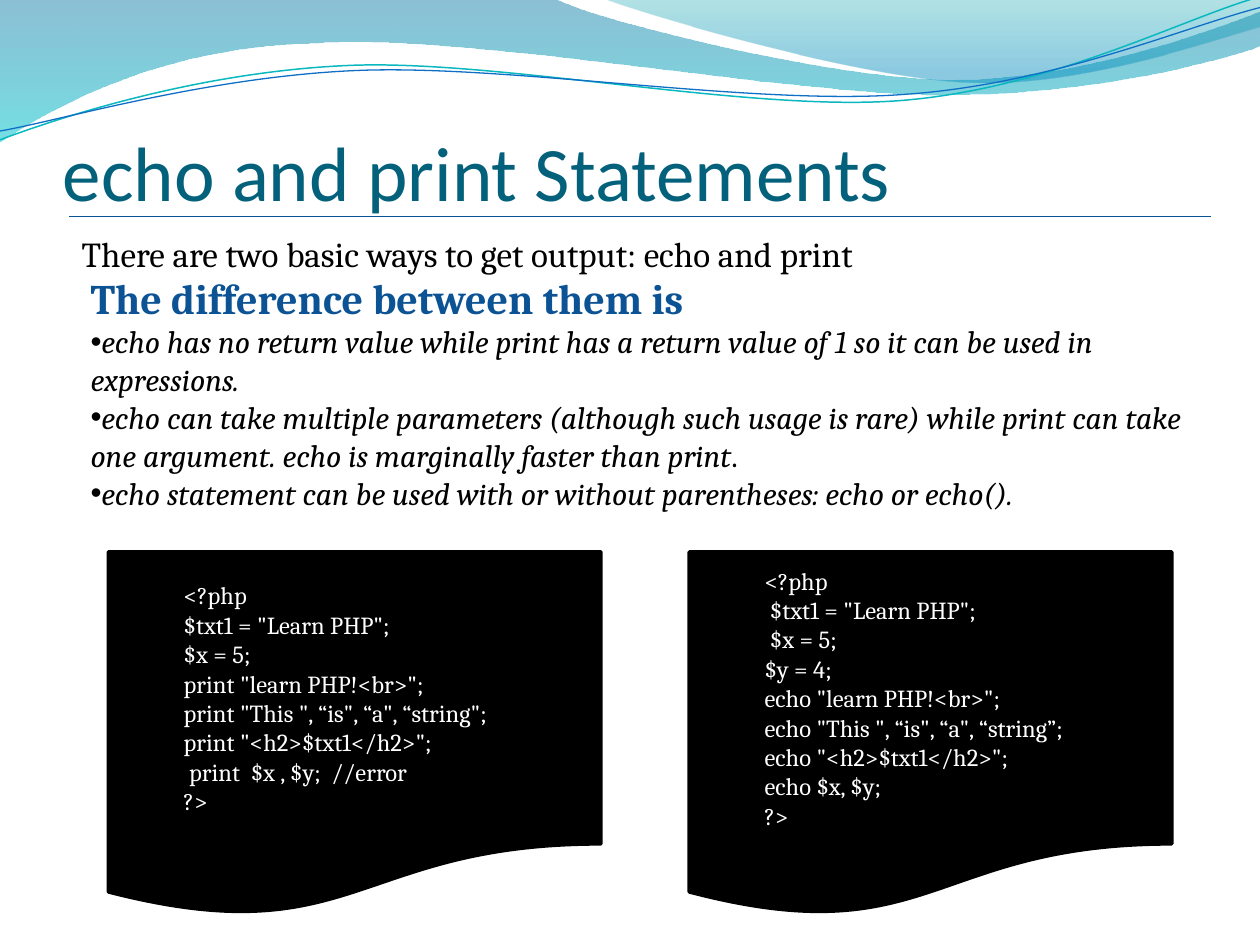
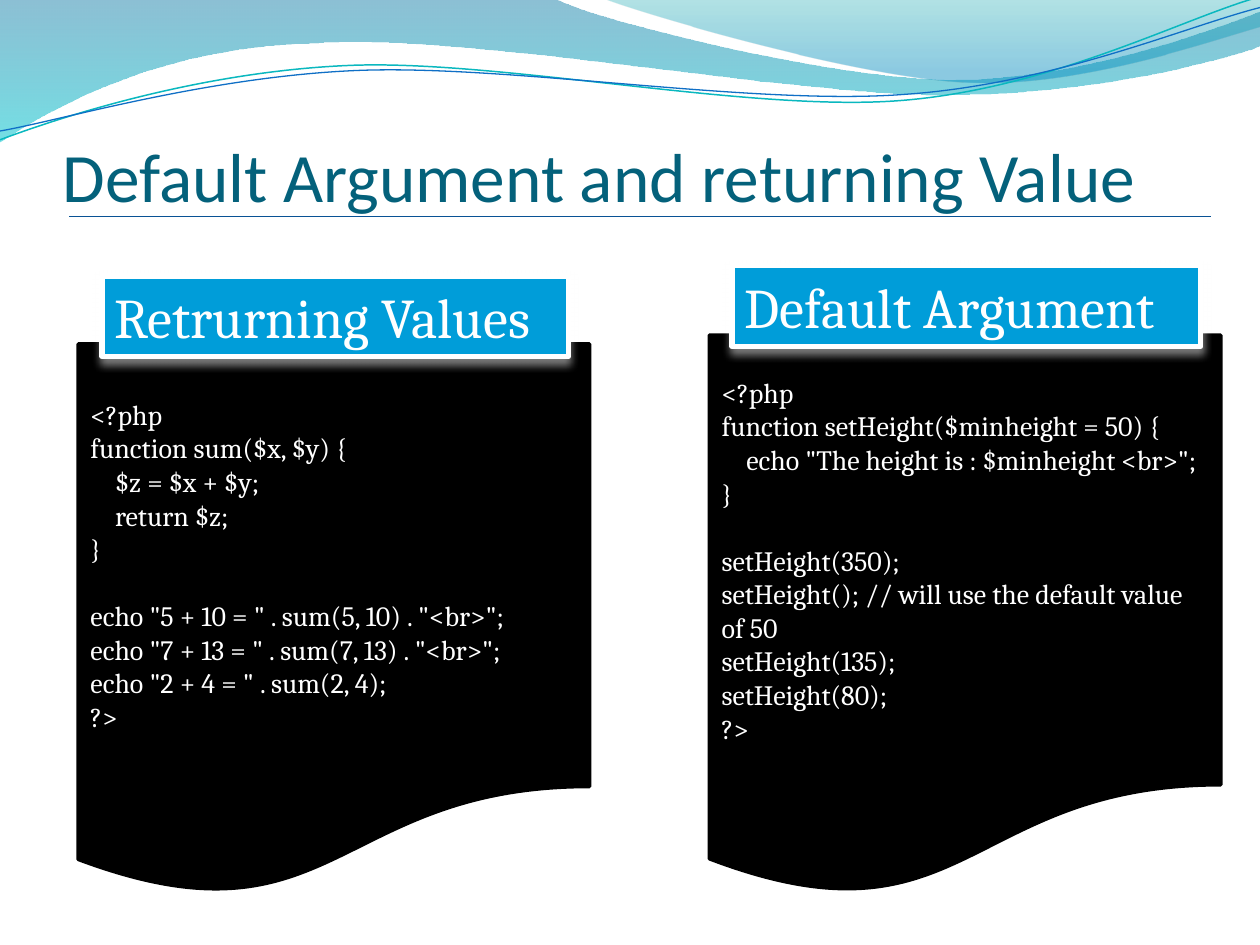
from dataclasses import dataclass

from lxml import etree
from pptx import Presentation
from pptx import util as u
from pptx.dml.color import RGBColor
from pptx.enum import shapes, text
from pptx.oxml import ns


@dataclass(frozen=True)
class Theme:
    """Colours, fonts and type sizes shared by the slides."""
    title: str = "04617B"
    rule: str = "095295"
    lead: str = "0B5394"
    ink: str = "000000"
    paper: str = "FFFFFF"
    label: str = "009DD9"
    teal: str = "0AB8BF"
    blue: str = "0F6FC6"
    heading_font: str = "Calibri"
    body_font: str = "Cambria"
    title_pt: float = 44
    long_title_pt: float = 39.6
    label_pt: float = 32
    lead_pt: float = 24
    intro_pt: float = 20
    point_pt: float = 18
    code_pt: float = 16
    small_code_pt: float = 14


T = Theme()

BANDS = [
    ((0, 0), [[(4.4, -0.01)],
              [(4.76, 0.17), (6.64, 0.63), (7.58, 0.63)],
              [(8.53, 0.63), (9.58, 0.26), (10, 0.09)],
              [(10.01, 0.36)],
              [(9.83, 0.44), (8.7, 0.76), (7.46, 0.75)],
              [(6.22, 0.75), (3.82, 0.28), (2.57, 0.34)],
              [(1.29, 0.36), (0.46, 0.83), (-0.01, 1.13)]],
     [(0, "0074A1", 45), (1, "00C6CF", 55)]),
    ((4.79, -0.01), [[(5.09, 0.11), (6.82, 0.62), (7.69, 0.65)],
                     [(8.56, 0.69), (9.61, 0.32), (10, 0.21)],
                     [(10, 0)]],
     [(0, "00A1A9", 30), (0.8, "008BBF", 45)]),
]
WAVES = [
    ((0, 1.11), [[(0.48, 0.93), (1.58, 0.57), (2.77, 0.52)],
                 [(3.95, 0.47), (5.93, 0.89), (7.13, 0.8)],
                 [(8.33, 0.71), (9.38, 0.15), (9.98, -0.02)]], T.teal, 0.85),
    ((0, 1.04), [[(0.47, 0.96), (1.64, 0.61), (2.83, 0.56)],
                 [(4.03, 0.51), (5.97, 0.84), (7.17, 0.75)],
                 [(8.36, 0.67), (9.41, 0.21), (10, 0.06)]], T.blue, 0.75),
]

POINTS = [
    [("The difference between them is", dict(size=T.lead_pt, color=T.lead, bold=True))],
    [("echo has no return value while print has a return value of 1 so it "
      "can be used in expressions.", dict(italic=True))],
    [("echo can take multiple parameters (although such usage is rare) while "
      "print can take one argument. echo is marginally faster than print",
      dict(italic=True)), (".", {})],
    [("echo statement can be used with or without parentheses: echo or echo().",
      dict(italic=True))],
]

PRINT_CODE = ["<?php", """$txt1 = "Learn PHP";
$x = 5;
print "learn PHP!<br>";
print "This ", “is", “a", “string";""", """print "<h2>$txt1</h2>";
 print  $x , $y;  //error
?>"""]

ECHO_CODE = ["""<?php
 $txt1 = "Learn PHP";
 $x = 5;
$y = 4;""", 'echo "learn PHP!<br>";', """echo "This ", “is", “a", “string”;
echo "<h2>$txt1</h2>";
echo $x, $y;
?>"""]

SUM_CODE = ["""<?php
function sum($x, $y) {
    $z = $x + $y;
    return $z;
}

echo "5 + 10 = " . sum(5, 10) . "<br>";
echo "7 + 13 = " . sum(7, 13) . "<br>";
echo "2 + 4 = " . sum(2, 4);
?>"""]

HEIGHT_CODE = ["""<?php
function setHeight($minheight = 50) {
    echo "The height is : $minheight <br>";
}

setHeight(350);
setHeight(); // will use the default value of 50
setHeight(135);
setHeight(80);
?>"""]


def inches(*values):
    """Convert numbers to lengths."""
    return [u.Inches(v) for v in values]


def child(parent, tag, **attrs):
    """Append a DrawingML element."""
    return etree.SubElement(parent, ns.qn(tag), {k: str(v) for k, v in attrs.items()})


def paint(sp, fill=None, line=None, width=0):
    """Set a shape's fill and outline and drop its shadow."""
    sp.shadow.inherit = False
    if fill:
        sp.fill.solid()
        sp.fill.fore_color.rgb = RGBColor.from_string(fill)
    else:
        sp.fill.background()
    if line:
        sp.line.color.rgb = RGBColor.from_string(line)
        sp.line.width = u.Pt(width)
    else:
        sp.line.fill.background()


def add_run(p, words, color=T.ink, **fmt):
    """Add a run with its font values."""
    r = p.add_run()
    r.text = words
    r.font.color.rgb = RGBColor.from_string(color)
    fmt = dict(name=T.body_font, size=T.point_pt) | fmt
    fmt["size"] = u.Pt(fmt["size"])
    for key, value in fmt.items():
        setattr(r.font, key, value)


def next_paragraph(tf, first):
    """Return the first paragraph or a new one, left aligned."""
    p = tf.paragraphs[0] if first else tf.add_paragraph()
    p.alignment = text.PP_ALIGN.LEFT
    return p


def add_text(s, box, paragraphs, bullets_from=None, **frame):
    """Add a wrapped text box made of lists of runs."""
    tf = s.shapes.add_textbox(*inches(*box)).text_frame
    for key, value in (dict(word_wrap=True) | frame).items():
        setattr(tf, key, value)
    for i, runs in enumerate(paragraphs):
        p = next_paragraph(tf, i == 0)
        if bullets_from is not None and i >= bullets_from:
            pr = p._p.get_or_add_pPr()
            child(pr, "a:buFont", typeface="Arial")
            child(pr, "a:buChar", char="•")
        for words, fmt in runs:
            add_run(p, words, **fmt)


def add_curve(s, start, segments, close=False):
    """Build an outline from straight and cubic segments."""
    fb = s.shapes.build_freeform(*inches(*start), scale=1.0)
    fb.add_line_segments([inches(*q) for seg in segments for q in seg], close=close)
    sp = fb.convert_to_shape()
    lines = iter(sp._element.spPr.findall(".//" + ns.qn("a:lnTo")))
    for seg in segments:
        steps = [next(lines) for q in seg]
        if len(steps) == 3:
            cubic = etree.Element(ns.qn("a:cubicBezTo"))
            steps[0].addprevious(cubic)
            for step in steps:
                cubic.append(step[0])
                step.getparent().remove(step)
    return sp


def add_banner(s):
    """Draw the translucent bands and thin waves at the top."""
    for start, segments, stops in BANDS:
        sp = add_curve(s, start, segments, close=True)
        paint(sp)
        sp.fill.gradient()
        sp.fill.gradient_angle = 270
        for stop, (pos, color, alpha) in zip(sp.fill.gradient_stops, stops):
            stop.position = pos
            stop.color.rgb = RGBColor.from_string(color)
        clrs = sp._element.spPr.findall(".//" + ns.qn("a:gs") + "/" + ns.qn("a:srgbClr"))
        for clr, (pos, color, alpha) in zip(clrs, stops):
            child(clr, "a:alpha", val=alpha * 1000)
    for start, segments, color, width in WAVES:
        paint(add_curve(s, start, segments), line=color, width=width)


def add_title(s, box, words, size):
    """Add the slide title with the rule below it."""
    x, y, w, h = box
    add_text(s, box, [[(words, dict(name=T.heading_font, size=size, color=T.title))]],
             vertical_anchor=text.MSO_ANCHOR.BOTTOM,
             margin_left=0, margin_right=0, margin_bottom=0)
    rule = s.shapes.add_connector(shapes.MSO_CONNECTOR.STRAIGHT,
                                  *inches(x + 0.05, y + h, x + w + 0.11, y + h))
    rule.line.color.rgb = RGBColor.from_string(T.rule)
    rule.line.width = u.Pt(0.75)
    child(rule._element.spPr, "a:effectLst")


def add_code(s, box, code, size, indent=0.0):
    """Show a listing on a black document shape."""
    sp = s.shapes.add_shape(shapes.MSO_SHAPE.FLOWCHART_DOCUMENT, *inches(*box))
    paint(sp, T.ink, T.ink, 2)
    tf = sp.text_frame
    tf.word_wrap, tf.vertical_anchor = True, text.MSO_ANCHOR.MIDDLE
    for i, block in enumerate(code):
        p = next_paragraph(tf, i == 0)
        p._p.get_or_add_pPr().set("marL", str(u.Inches(indent)))
        for j, line in enumerate(block.split("\n")):
            if j:
                p.add_line_break()
                child(p._p[-1], "a:rPr", sz=size * 100)
            if line:
                add_run(p, line, T.paper, size=size)


def add_label(s, box, words):
    """Add a framed blue label with a soft shadow below it."""
    sp = s.shapes.add_shape(shapes.MSO_SHAPE.RECTANGLE, *inches(*box))
    paint(sp, T.label, T.paper, 3)
    effects = sp._element.spPr.find(ns.qn("a:effectLst"))
    shadow = child(effects, "a:outerShdw", blurRad=u.Pt(4.5), dist=u.Pt(3),
                   dir=90 * 60000, rotWithShape=0)
    child(child(shadow, "a:srgbClr", val=T.paper), "a:alpha", val=48000)
    tf = sp.text_frame
    tf.word_wrap, tf.auto_size = False, text.MSO_AUTO_SIZE.SHAPE_TO_FIT_TEXT
    add_run(next_paragraph(tf, True), words, T.paper, size=T.label_pt)


def new_slide(prs, title, size):
    """Start a blank slide with the banner and title."""
    s = prs.slides.add_slide(prs.slide_layouts[6])
    add_banner(s)
    add_title(s, (0.5, 0.47, 9, 1.25), title, size)
    return s


def output_slide(prs):
    """Compare echo with print."""
    s = new_slide(prs, "echo and print Statements", T.title_pt)
    add_text(s, (0.55, 1.8, 8.83, 0.44),
             [[("There are two basic ways to get output: echo and print",
                dict(size=T.intro_pt))]])
    add_text(s, (0.62, 2.11, 8.98, 3.23), POINTS, bullets_from=1)
    add_code(s, (0.86, 4.38, 3.91, 2.89), PRINT_CODE, T.small_code_pt, indent=0.5)
    add_code(s, (5.47, 4.38, 3.83, 2.89), ECHO_CODE, T.small_code_pt, indent=0.5)


def function_slide(prs):
    """Show return values beside default arguments."""
    s = new_slide(prs, "Default Argument and returning Value", T.long_title_pt)
    add_code(s, (5.63, 2.66, 4.06, 4.45), HEIGHT_CODE, T.code_pt)
    add_code(s, (0.62, 2.73, 4.06, 4.38), SUM_CODE, T.code_pt)
    add_label(s, (0.81, 2.19, 3.7, 0.64), "Retrurning Values")
    add_label(s, (5.81, 2.11, 3.72, 0.64), "Default Argument")


def main():
    """Build and save the deck."""
    prs = Presentation()
    prs.slide_width, prs.slide_height = inches(10, 7.5)
    output_slide(prs)
    function_slide(prs)
    prs.save("out.pptx")


if __name__ == "__main__":
    main()
